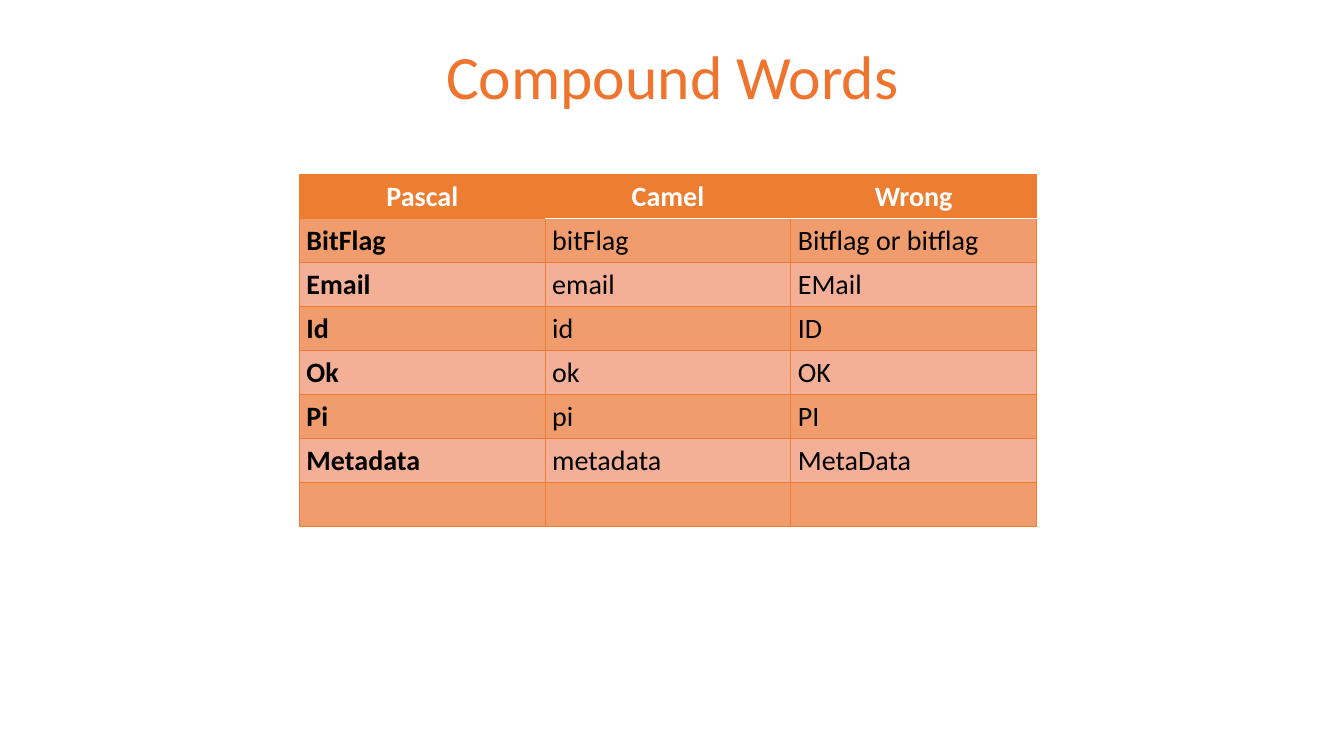
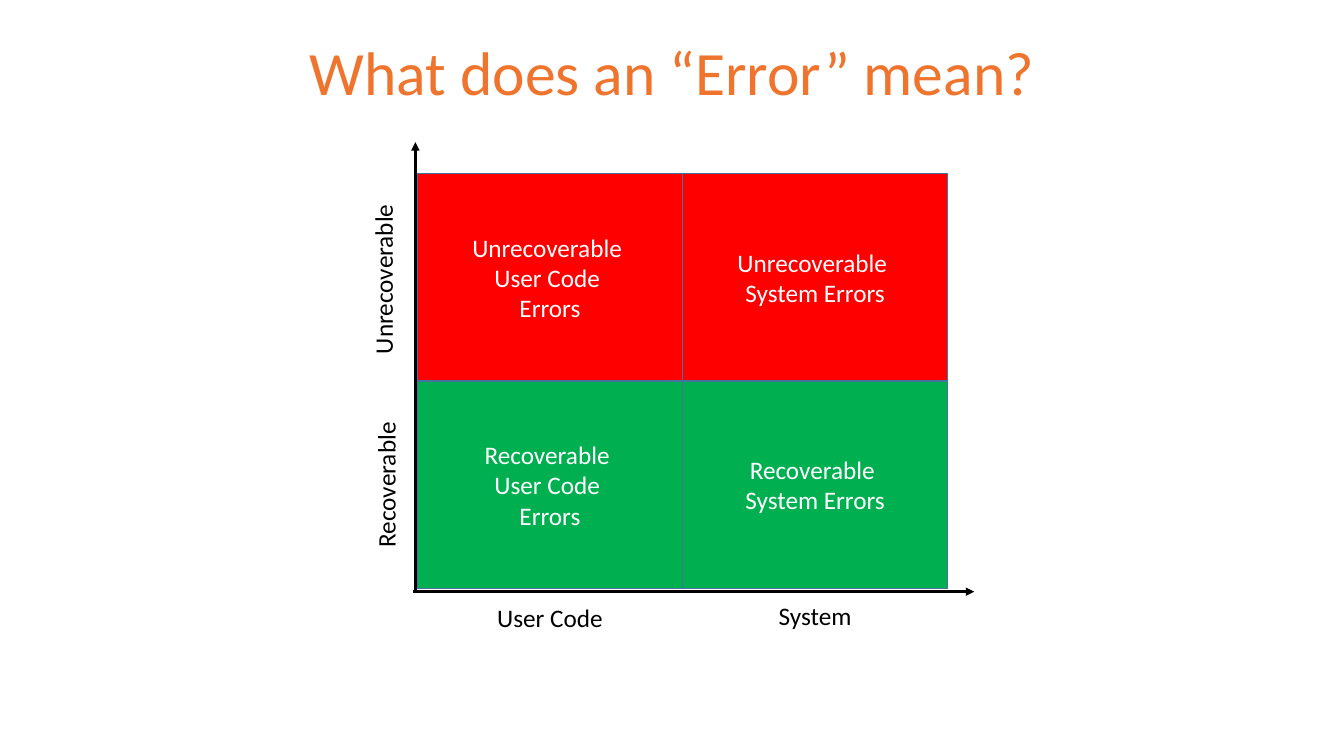
from dataclasses import dataclass

from lxml.etree import SubElement
from pptx import Presentation
from pptx.dml.color import RGBColor
from pptx.enum.shapes import MSO_CONNECTOR, MSO_SHAPE
from pptx.enum.text import MSO_ANCHOR, PP_ALIGN
from pptx.oxml.ns import qn
from pptx.util import Inches, Pt


@dataclass(frozen=True)
class Theme:
    font: str = "Calibri"
    title: str = "EF742D"
    accent: str = "ED7D31"
    band_dark: str = "F19C6D"
    band_light: str = "F4B096"
    fatal: str = "FF0000"
    fixable: str = "00B050"
    outline: str = "43739E"
    ink: str = "000000"
    paper: str = "FFFFFF"
    title_size: int = 44
    table_size: int = 20
    body_size: int = 18


THEME = Theme()
SLIDE_WIDTH, SLIDE_HEIGHT = 13.33, 7.5

# Table grid
TABLE_LEFT, TABLE_TOP = 2.97, 1.73
TABLE_WIDTH, TABLE_HEIGHT = 7.31, 3.49
WORDS = [
    ("Pascal", "Camel", "Wrong"),
    ("BitFlag", "bitFlag", "Bitflag or bitflag"),
    ("Email", "email", "EMail"),
    ("Id", "id", "ID"),
    ("Ok", "ok", "OK"),
    ("Pi", "pi", "PI"),
    ("Metadata", "metadata", "MetaData"),
    ("", "", ""),
]

# Error matrix grid: text, column, row, fill
QUADRANTS = [
    ("Recoverable \nUser Code \nErrors", 0, 1, THEME.fixable),
    ("Recoverable \nSystem Errors", 1, 1, THEME.fixable),
    ("Unrecoverable \nUser Code \nErrors", 0, 0, THEME.fatal),
    ("Unrecoverable \nSystem Errors", 1, 0, THEME.fatal),
]
# Axis labels: text, centre column, centre row, width, rotation
AXIS_LABELS = [
    ("User Code", 0.5, 2.14, 1.26, 0),
    ("System", 1.5, 2.13, 0.93, 0),
    ("Recoverable", -0.12, 1.5, 1.46, 270),
    ("Unrecoverable", -0.13, 0.51, 1.7, 270),
]
CELL_WIDTH, CELL_HEIGHT = 2.63, 2.06
LABEL_HEIGHT = 0.4


def column(number):
    return Inches(4.14 + number * CELL_WIDTH)


def row(number):
    return Inches(1.72 + number * CELL_HEIGHT)


def rgb(colour):
    return RGBColor.from_string(colour)


def apply(target, values):
    for name, value in values.items():
        setattr(target, name, value)


def write(frame, text, size, colour, bold=False, **layout):
    """Fill the first paragraph, breaking lines where the text does."""
    para = frame.paragraphs[0]
    apply(para, layout)
    for index, line in enumerate(text.split("\n") if text else []):
        if index:
            para.add_line_break()
        span = para.add_run()
        span.text = line
        apply(span.font, {"name": THEME.font, "size": Pt(size), "bold": bold})
        span.font.color.rgb = rgb(colour)


def add_title(page, text, top):
    box = page.shapes.add_textbox(Inches(0.92), Inches(top), Inches(11.5), Inches(1.45))
    apply(box.text_frame, {"word_wrap": True, "vertical_anchor": MSO_ANCHOR.MIDDLE})
    write(box.text_frame, text, THEME.title_size, THEME.title,
          alignment=PP_ALIGN.CENTER, line_spacing=0.9)


def add_border(cell, edge, colour, width):
    line = SubElement(cell._tc.get_or_add_tcPr(), qn(f"a:ln{edge}"), w=str(Pt(width)))
    fill = SubElement(line, qn("a:solidFill"))
    SubElement(fill, qn("a:srgbClr"), val=colour)


def format_cell(cell, text, line, place):
    header = line == 0
    # Borders come before the fill in the cell properties
    for edge in "LRTB":
        under_header = place > 0 and (line, edge) in ((0, "B"), (1, "T"))
        add_border(cell, edge, *((THEME.paper, 1) if under_header else (THEME.accent, 0.5)))
    cell.fill.solid()
    band = THEME.band_dark if line % 2 else THEME.band_light
    cell.fill.fore_color.rgb = rgb(THEME.accent if header else band)
    apply(cell, {"margin_left": Inches(0.07), "margin_right": Inches(0.07),
                 "margin_top": 0, "margin_bottom": 0})
    write(cell.text_frame, text, THEME.table_size,
          THEME.paper if header else THEME.ink, bold=header or place == 0,
          alignment=PP_ALIGN.CENTER if header else PP_ALIGN.LEFT, line_spacing=1.15)


def add_word_table(page, words):
    table = page.shapes.add_table(
        len(words), len(words[0]), Inches(TABLE_LEFT), Inches(TABLE_TOP),
        Inches(TABLE_WIDTH), Inches(TABLE_HEIGHT)).table
    for line, entries in enumerate(words):
        for place, text in enumerate(entries):
            format_cell(table.cell(line, place), text, line, place)


def add_axis(page, start, end):
    axis = page.shapes.add_connector(MSO_CONNECTOR.STRAIGHT, *start, *end)
    axis.line.color.rgb = rgb(THEME.ink)
    axis.line.width = Pt(2)
    properties = axis._element.spPr
    SubElement(properties.find(qn("a:ln")), qn("a:tailEnd"), type="triangle")
    SubElement(properties, qn("a:effectLst"))


def add_quadrant(page, text, across, down, colour):
    box = page.shapes.add_shape(MSO_SHAPE.RECTANGLE, column(across), row(down),
                                Inches(CELL_WIDTH), Inches(CELL_HEIGHT))
    box.shadow.inherit = False
    box.fill.solid()
    box.fill.fore_color.rgb = rgb(colour)
    box.line.color.rgb = rgb(THEME.outline)
    box.line.width = Pt(1)
    apply(box.text_frame, {"word_wrap": True, "vertical_anchor": MSO_ANCHOR.MIDDLE})
    write(box.text_frame, text, THEME.body_size, THEME.paper, alignment=PP_ALIGN.CENTER)


def add_axis_label(page, text, across, down, width, rotation):
    box = page.shapes.add_textbox(
        column(across) - Inches(width / 2), row(down) - Inches(LABEL_HEIGHT / 2),
        Inches(width), Inches(LABEL_HEIGHT))
    box.rotation = rotation
    box.text_frame.word_wrap = False
    write(box.text_frame, text, THEME.body_size, THEME.ink, alignment=PP_ALIGN.CENTER)


def add_error_matrix(page):
    # Axes lie behind the quadrants
    axis_left, axis_bottom = column(0) - Inches(0.02), row(2) + Inches(0.03)
    add_axis(page, (axis_left, axis_bottom), (axis_left, row(-0.15)))
    add_axis(page, (axis_left - Inches(0.02), axis_bottom), (column(2.1), axis_bottom))
    for quadrant in QUADRANTS:
        add_quadrant(page, *quadrant)
    for label in AXIS_LABELS:
        add_axis_label(page, *label)


def main():
    deck = Presentation()
    apply(deck, {"slide_width": Inches(SLIDE_WIDTH), "slide_height": Inches(SLIDE_HEIGHT)})
    blank = deck.slide_layouts[6]

    # Compound words
    page = deck.slides.add_slide(blank)
    add_title(page, "Compound Words", 0.06)
    add_word_table(page, WORDS)

    # Kinds of error
    page = deck.slides.add_slide(blank)
    add_title(page, "What does an “Error” mean?", 0.02)
    add_error_matrix(page)

    deck.save("out.pptx")


if __name__ == "__main__":
    main()
